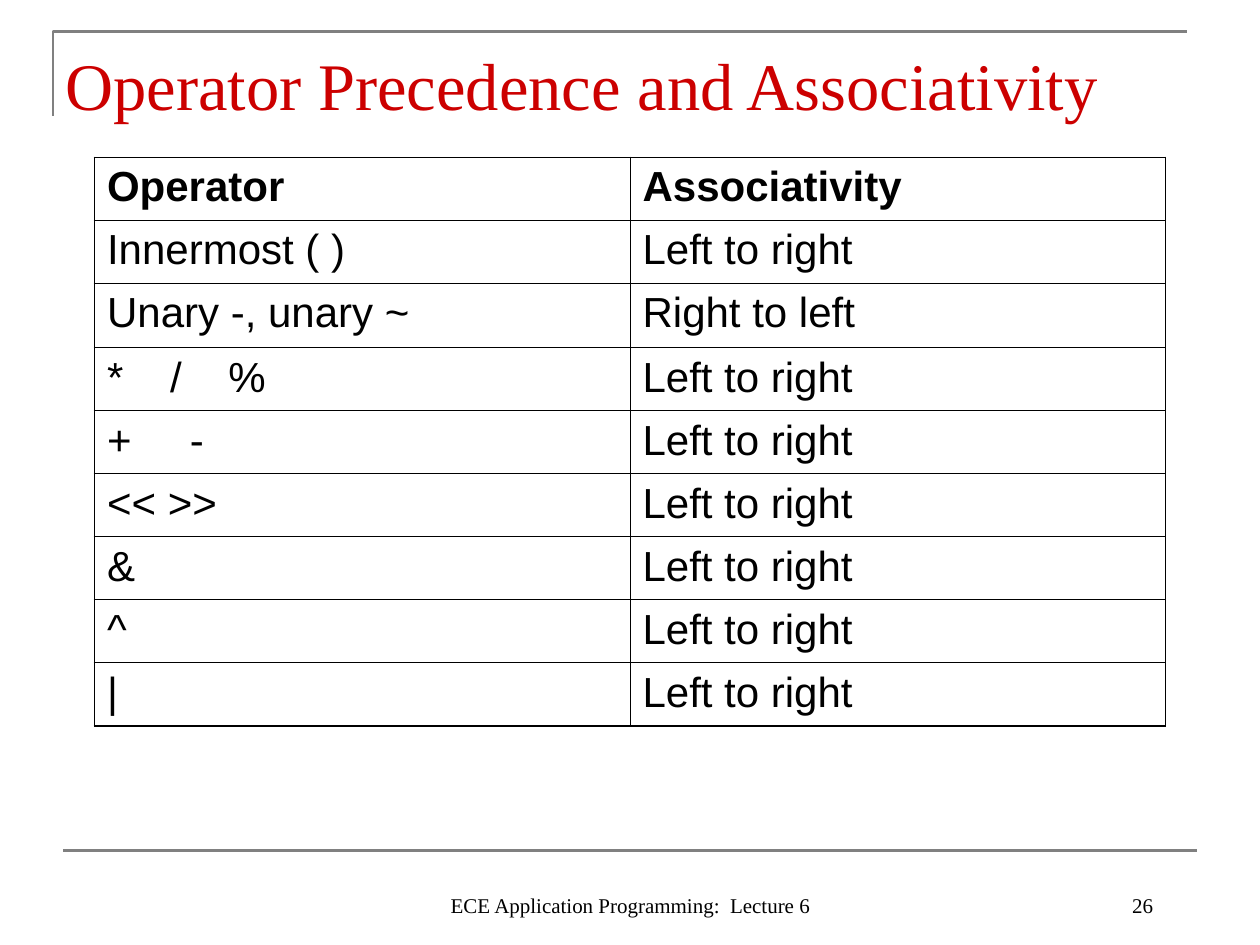
from typing import NamedTuple

from lxml.etree import SubElement
from pptx import Presentation
from pptx.dml.color import RGBColor
from pptx.enum.shapes import MSO_CONNECTOR
from pptx.enum.text import MSO_ANCHOR, PP_ALIGN
from pptx.oxml import parse_xml
from pptx.oxml.ns import nsdecls, qn
from pptx.util import Inches, Pt

RED = RGBColor(0xCC, 0x00, 0x00)
BLACK = RGBColor(0x00, 0x00, 0x00)
GRAY = RGBColor(0x80, 0x80, 0x80)
SERIF = "Times New Roman"
SANS = "Arial"
OUTER_BORDER = Pt(1.08)
INNER_BORDER = Pt(0.45)
ROW_HEIGHT = 0.5
TALL_ROW = 2
TALL_ROW_HEIGHT = 0.51
COLUMN_WIDTH = 4.25


class Label(NamedTuple):
    text: str
    left: float
    top: float
    width: float
    height: float
    size: float
    color: RGBColor = BLACK
    align: PP_ALIGN = PP_ALIGN.LEFT
    anchor: MSO_ANCHOR = MSO_ANCHOR.BOTTOM
    top_margin: float = 0.05


class Precedence(NamedTuple):
    operator: str
    associativity: str = "Left to right"


LABELS = [
    Label("Operator Precedence and Associativity", 0.42, 0.25, 8.5, 0.92, 38,
          color=RED, anchor=MSO_ANCHOR.TOP, top_margin=0.1),
    Label("26", 7.17, 6.83, 2.08, 0.5, 12, align=PP_ALIGN.RIGHT),
    Label("ECE Application Programming:  Lecture 6", 3.42, 6.83, 3.17, 0.5, 12,
          align=PP_ALIGN.CENTER),
]

ROWS = [
    Precedence("Operator", "Associativity"),
    Precedence("Innermost ( )"),
    Precedence("Unary -, unary ~", "Right to left"),
    Precedence("*    /    %"),
    Precedence("+     -"),
    Precedence("<< >>"),
    Precedence("&"),
    Precedence("^"),
    Precedence("|"),
]


def write_text(text_frame, text: str, *, font: str, size: float,
               color: RGBColor = BLACK, bold: bool = False,
               align: PP_ALIGN = PP_ALIGN.LEFT) -> None:
    paragraph = text_frame.paragraphs[0]
    paragraph.alignment = align
    run = paragraph.add_run()
    run.text = text
    run.font.name = font
    run.font.size = Pt(size)
    run.font.bold = bold
    run.font.color.rgb = color


def add_label(slide, label: Label) -> None:
    shape = slide.shapes.add_textbox(Inches(label.left), Inches(label.top),
                                     Inches(label.width), Inches(label.height))
    text_frame = shape.text_frame
    text_frame.word_wrap = True
    text_frame.vertical_anchor = label.anchor
    text_frame.margin_top = Inches(label.top_margin)
    write_text(text_frame, label.text, font=SERIF, size=label.size,
               color=label.color, align=label.align)


def style_line(shape) -> None:
    shape.line.color.rgb = GRAY
    shape.line.width = Pt(1.5)


def add_title_frame(slide) -> None:
    builder = slide.shapes.build_freeform(Inches(0.42), Inches(0.92))
    builder.add_line_segments([(Inches(0.42), Inches(0.25)),
                               (Inches(9.42), Inches(0.25))], close=False)
    shape = builder.convert_to_shape()
    shape.shadow.inherit = False
    shape.fill.background()
    style_line(shape)


def add_footer_rule(slide) -> None:
    connector = slide.shapes.add_connector(
        MSO_CONNECTOR.STRAIGHT, Inches(0.5), Inches(6.75), Inches(9.5), Inches(6.75))
    style_line(connector)
    SubElement(connector._element.spPr, qn("a:effectLst"))


def set_borders(cell, *, left: int, right: int, top: int, bottom: int) -> None:
    properties = cell._tc.get_or_add_tcPr()
    widths = {"lnL": left, "lnR": right, "lnT": top, "lnB": bottom}
    for position, (tag, width) in enumerate(widths.items()):
        properties.insert(position, parse_xml(
            f'<a:{tag} {nsdecls("a")} w="{width}"><a:solidFill>'
            f'<a:srgbClr val="{BLACK}"/></a:solidFill></a:{tag}>'))


def add_precedence_table(slide, rows: list[Precedence]) -> None:
    column_count = len(Precedence._fields)
    table = slide.shapes.add_table(
        len(rows), column_count, Inches(0.75), Inches(1.25),
        Inches(COLUMN_WIDTH * column_count), Inches(ROW_HEIGHT * len(rows))).table
    table.first_row = False
    table.horz_banding = False
    for column in table.columns:
        column.width = Inches(COLUMN_WIDTH)

    def border(is_outer: bool) -> int:
        return OUTER_BORDER if is_outer else INNER_BORDER

    for row_index, row in enumerate(rows):
        height = TALL_ROW_HEIGHT if row_index == TALL_ROW else ROW_HEIGHT
        table.rows[row_index].height = Inches(height)
        for column_index, text in enumerate(row):
            cell = table.cell(row_index, column_index)
            cell.fill.background()
            write_text(cell.text_frame, text, font=SANS, size=24, bold=row_index == 0)
            set_borders(cell,
                        left=border(column_index == 0),
                        right=border(column_index == column_count - 1),
                        top=border(row_index == 0),
                        bottom=border(row_index == len(rows) - 1))


def main() -> None:
    presentation = Presentation()
    presentation.slide_width = Inches(10)
    presentation.slide_height = Inches(7.5)
    slide = presentation.slides.add_slide(presentation.slide_layouts[6])
    add_title_frame(slide)
    add_footer_rule(slide)
    add_precedence_table(slide, ROWS)
    for label in LABELS:
        add_label(slide, label)
    presentation.save("out.pptx")


if __name__ == "__main__":
    main()
